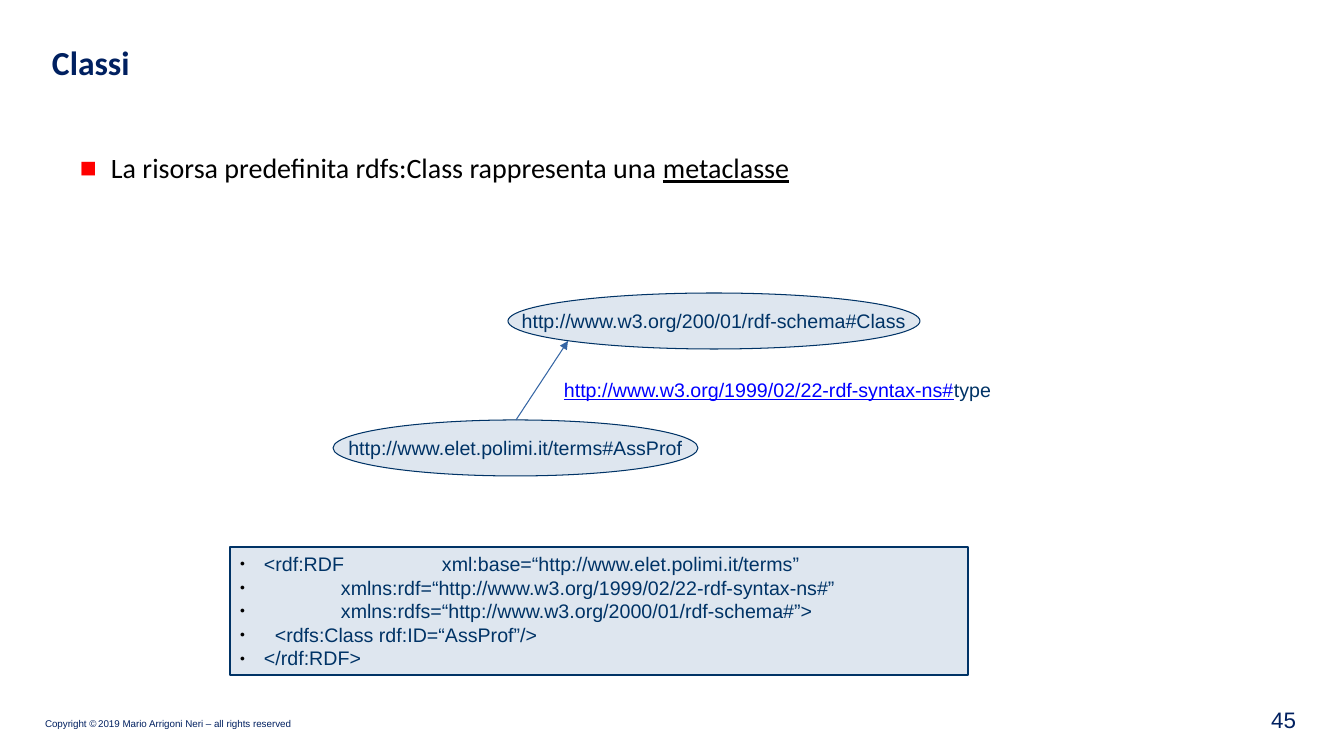
from lxml import etree
from pptx import Presentation
from pptx.dml.color import RGBColor
from pptx.enum import shapes, text
from pptx.oxml import ns
from pptx.util import Emu, Pt

NAVY = RGBColor(0x00, 0x20, 0x60)
INK = RGBColor(0x00, 0x33, 0x66)
PALE = RGBColor(0xDE, 0xE6, 0xEF)
ARROW = RGBColor(0x34, 0x65, 0xA4)
LINK = RGBColor(0x00, 0x00, 0xFF)
RED = RGBColor(0xFF, 0x00, 0x00)
BLACK = RGBColor(0x00, 0x00, 0x00)

TOP, MIDDLE, BOTTOM = (text.MSO_ANCHOR.TOP, text.MSO_ANCHOR.MIDDLE,
                       text.MSO_ANCHOR.BOTTOM)
LEFT, CENTER, RIGHT = text.PP_ALIGN.LEFT, text.PP_ALIGN.CENTER, text.PP_ALIGN.RIGHT

TERM = {"name": "Arial", "size": Pt(14), "color": INK}
TOPIC = {"name": "Calibri", "size": Pt(20), "color": BLACK}
FOOTER = {"name": "Arial", "size": Pt(7), "color": NAVY}

CODE = [
    "<rdf:RDF\txml:base=“http://www.elet.polimi.it/terms”",
    "\txmlns:rdf=“http://www.w3.org/1999/02/22-rdf-syntax-ns#”",
    "\txmlns:rdfs=“http://www.w3.org/2000/01/rdf-schema#”>",
    "  <rdfs:Class rdf:ID=“AssProf”/>",
    "</rdf:RDF>",
]


def px(*lengths):
    """Turn pixels (100.8 to the inch) into EMU."""
    return [Emu(round(length * 914400 / 100.8)) for length in lengths]


def child(parent, tag, **attributes):
    element = etree.SubElement(parent, ns.qn(tag))
    for key, value in attributes.items():
        element.set(key, str(value))
    return element


class Page:
    def __init__(self, deck):
        self.slide = deck.slides.add_slide(deck.slide_layouts[5])

    def fill_text(self, box, paragraphs, anchor=TOP, align=LEFT, wrap=True,
                  inset=(10, 5), bullet=None):
        """Fill a box; each paragraph is a list of (words, format) pairs."""
        frame = box.text_frame
        across, down = px(*inset)
        layout = {"auto_size": text.MSO_AUTO_SIZE.NONE, "word_wrap": wrap,
                  "vertical_anchor": anchor, "margin_left": across,
                  "margin_right": across, "margin_top": down,
                  "margin_bottom": down}
        for key, value in layout.items():
            setattr(frame, key, value)
        for index, spans in enumerate(paragraphs):
            para = frame.add_paragraph() if index else frame.paragraphs[0]
            para.alignment = align
            if bullet:
                self.add_bullet(para, **bullet)
            for words, style in spans:
                span = para.add_run()
                span.text = words
                for key, value in style.items():
                    if key == "color":
                        span.font.color.rgb = value
                    else:
                        setattr(span.font, key, value)

    def add_bullet(self, para, sign, color, percent, indent, hang,
                   level=0, tabs=(), pitch=None):
        para.level = level
        props = para._p.get_or_add_pPr()
        for key, value in zip(("marL", "indent"), px(indent, -hang)):
            props.set(key, str(value))
        child(child(props, "a:buClr"), "a:srgbClr", val=color)
        child(props, "a:buSzPct", val=percent * 1000)
        child(props, "a:buFont", typeface="Arial")
        child(props, "a:buChar", char=sign)
        if tabs:
            stops = child(props, "a:tabLst")
            for stop in px(*tabs):
                child(stops, "a:tab", pos=stop, algn="l")
        if pitch:
            para.line_spacing = pitch

    def title(self, words, place, style):
        box = self.slide.shapes.title
        box.left, box.top, box.width, box.height = px(*place)
        self.fill_text(box, [[(words, style)]])

    def textbox(self, place, paragraphs, **options):
        box = self.slide.shapes.add_textbox(*px(*place))
        self.fill_text(box, paragraphs, **options)

    def shape(self, kind, place, paragraphs, weight=0.75, **options):
        box = self.slide.shapes.add_shape(kind, *px(*place))
        box.shadow.inherit = False
        box.fill.solid()
        box.fill.fore_color.rgb = PALE
        box.line.color.rgb = INK
        box.line.width = Pt(weight)
        self.fill_text(box, paragraphs, **options)

    def resource(self, place, address):
        self.shape(shapes.MSO_SHAPE.OVAL, place, [[(address, TERM)]],
                   anchor=MIDDLE, align=CENTER, wrap=False)

    def arrow(self, start, end):
        arrow = self.slide.shapes.add_connector(
            shapes.MSO_CONNECTOR.STRAIGHT, *px(*start, *end))
        arrow.line.color.rgb = ARROW
        arrow.line.width = Pt(0.75)
        props = arrow._element.spPr
        child(props.find(ns.qn("a:ln")), "a:tailEnd", type="triangle")
        child(props, "a:effectLst")


def main():
    deck = Presentation()
    deck.slide_width, deck.slide_height = px(1344, 756)
    page = Page(deck)

    page.title("Classi", (42, 37, 1261, 66),
               {"name": "Calibri", "size": Pt(24), "bold": True, "color": NAVY})
    page.textbox(
        (42, 146, 1248, 50),
        [[("La risorsa predefinita rdfs:Class rappresenta una ", TOPIC),
          ("metaclasse", {**TOPIC, "underline": True})]],
        bullet={"sign": "■", "color": RED, "percent": 100,
                "indent": 59, "hang": 31, "level": 1})

    page.resource((333, 420, 365, 56), "http://www.elet.polimi.it/terms#AssProf")
    page.resource((508, 293, 412, 56), "http://www.w3.org/200/01/rdf-schema#Class")
    page.arrow((516, 420), (568, 341))
    page.textbox(
        (554, 373, 449, 34),
        [[("http://www.w3.org/1999/02/22-rdf-syntax-ns#",
           {**TERM, "color": LINK, "underline": True}), ("type", TERM)]],
        wrap=False)

    page.shape(
        shapes.MSO_SHAPE.RECTANGLE, (230, 547, 738, 128),
        [[(line, TERM)] for line in CODE], weight=1,
        bullet={"sign": "●", "color": BLACK, "percent": 45, "indent": 24,
                "hang": 24, "tabs": (101, 202), "pitch": Pt(16.85)})

    page.textbox(
        (43, 715, 251, 16),
        [[("Copyright ©", FOOTER), (" ", {**FOOTER, "size": Pt(4)}),
          ("2019 Mario Arrigoni Neri – all rights reserved", FOOTER)]],
        anchor=BOTTOM, wrap=False, inset=(2, 2))
    page.textbox((1251, 702, 55, 35), [[("45", {**FOOTER, "size": Pt(16)})]],
                 anchor=MIDDLE, align=RIGHT)
    deck.save("out.pptx")


if __name__ == "__main__":
    main()
